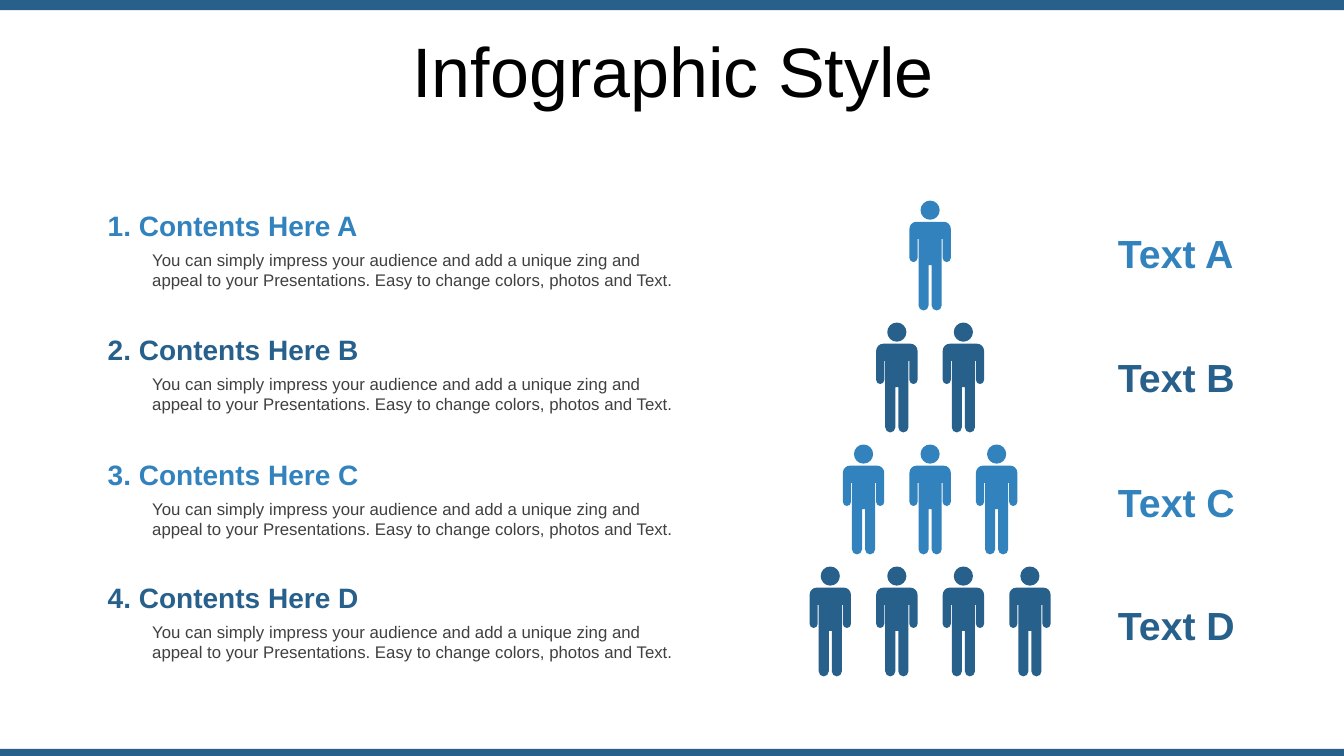
from dataclasses import dataclass
from math import hypot

from pptx import Presentation, util as u
from pptx.dml.color import RGBColor
from pptx.enum import shapes as sh, text as tx
from pptx.oxml import ns

LIGHT, DARK = "3282BE", "28608C"
BODY = ("You can simply impress your audience and add a unique zing and "
        "appeal to your Presentations. Easy to change colors, photos and Text.")
MID, PITCH = 9.225, 0.66  # centre of the pyramid, gap between people
WIDTH = 0.41
PULL = 0.45  # distance of a curve's handles from its corner, per radius


@dataclass
class Corner:
    x: float
    y: float
    r: float = 0


@dataclass
class Point:
    x: int
    y: int
    curve: bool = False  # first handle of a curve


@dataclass
class Level:
    mark: str
    top: float
    color: str


LEVELS = [
    Level("A", 2.02, LIGHT),
    Level("B", 3.25, DARK),
    Level("C", 4.49, LIGHT),
    Level("D", 5.71, DARK),
]

HALF = [
    Corner(0.41, 0.21, 0.07), Corner(0.41, 0.61, 0.04),
    Corner(0.33, 0.61, 0.04), Corner(0.33, 0.38),
    Corner(0.32, 0.38), Corner(0.32, 1.09, 0.05),
    Corner(0.22, 1.09, 0.05), Corner(0.22, 0.64),
]
TORSO = HALF + [Corner(WIDTH - c.x, c.y, c.r) for c in reversed(HALF)]
HEAD = [Corner(x, y, 0.095)
        for x, y in [(0.11, 0), (0.3, 0), (0.3, 0.19), (0.11, 0.19)]]


def paint(fill, color: str) -> None:
    fill.solid()
    fill.fore_color.rgb = RGBColor.from_string(color)


def finish(shape, color: str) -> None:
    """Give a shape a plain fill with no line or shadow."""
    paint(shape.fill, color)
    shape.line.fill.background()
    shape.shadow.inherit = False


def trace(corners: list[Corner], left: float, top: float) -> list[Point]:
    """Return an outline's points, four for each rounded corner."""
    points = []
    for i, c in enumerate(corners):
        last, after = corners[i - 1], corners[(i + 1) % len(corners)]
        stops = [(last, 1), (last, PULL), (after, PULL), (after, 1)]
        for k, (end, part) in enumerate(stops if c.r else stops[:1]):
            move = c.r * part / hypot(end.x - c.x, end.y - c.y)
            points.append(Point(u.Inches(left + c.x + move * (end.x - c.x)),
                                u.Inches(top + c.y + move * (end.y - c.y)),
                                k == 1))
    return points


def bend(shape, points: list[Point]) -> None:
    """Turn the three lines at each rounded corner into one curve."""
    nodes = list(shape.element.iter(ns.qn("a:moveTo"), ns.qn("a:lnTo")))
    for i, point in enumerate(points):
        if point.curve:
            nodes[i].tag = ns.qn("a:cubicBezTo")
            for extra in nodes[i + 1:i + 3]:
                nodes[i].append(extra[0])
                extra.getparent().remove(extra)


def person(slide, left: float, top: float, color: str) -> None:
    torso, head = trace(TORSO, left, top), trace(HEAD, left, top)
    pen = slide.shapes.build_freeform(torso[0].x, torso[0].y)
    pen.add_line_segments([(p.x, p.y) for p in torso[1:]])
    pen.move_to(head[0].x, head[0].y)
    pen.add_line_segments([(p.x, p.y) for p in head[1:]])
    shape = pen.convert_to_shape()
    bend(shape, torso + head)
    finish(shape, color)


def bar(slide, top: float, height: float) -> None:
    shape = slide.shapes.add_shape(
        sh.MSO_SHAPE.RECTANGLE, 0, u.Inches(top), u.Inches(13.33), u.Inches(height))
    finish(shape, DARK)


def label(slide, words: str, left: float, top: float, width: float, height: float,
          size: int, color: str, bold: bool = False, inset: float = 0.1):
    box = slide.shapes.add_textbox(*map(u.Inches, (left, top, width, height)))
    frame = box.text_frame
    frame.word_wrap = True
    frame.margin_left = frame.margin_right = u.Inches(inset)
    frame.auto_size = tx.MSO_AUTO_SIZE.SHAPE_TO_FIT_TEXT
    para = frame.paragraphs[0]
    para.text = words
    font = para.font
    font.name, font.size, font.bold = "Arial", u.Pt(size), bold
    paint(font.fill, color)
    return frame


def main() -> None:
    deck = Presentation()
    deck.slide_width, deck.slide_height = u.Inches(13.33), u.Inches(7.5)
    slide = deck.slides.add_slide(deck.slide_layouts[6])

    bar(slide, 0, 0.1)
    bar(slide, 7.43, 0.07)
    title = label(slide, "Infographic Style", 0.35, 0.37, 12.66, 0.79, 50, "000000")
    title.auto_size = tx.MSO_AUTO_SIZE.NONE
    title.vertical_anchor = tx.MSO_ANCHOR.MIDDLE
    title.paragraphs[0].alignment = tx.PP_ALIGN.CENTER
    title.paragraphs[0].line_spacing = 0.8

    for i, level in enumerate(LEVELS):
        for k in range(i + 1):
            left = MID - WIDTH / 2 + (k - i / 2) * PITCH
            person(slide, left, 1.99 + 1.21 * i, level.color)
        label(slide, BODY, 1.43, level.top + 0.41, 5.47, 0.5, 12, "404040", inset=0.08)
        label(slide, f"{i + 1}. Contents Here {level.mark}",
              0.97, level.top, 5.93, 0.44, 20, level.color, bold=True)
        label(slide, f"Text {level.mark}",
              10.99, level.top + 0.21, 1.43, 0.57, 28, level.color, bold=True)

    deck.save("out.pptx")


if __name__ == "__main__":
    main()
